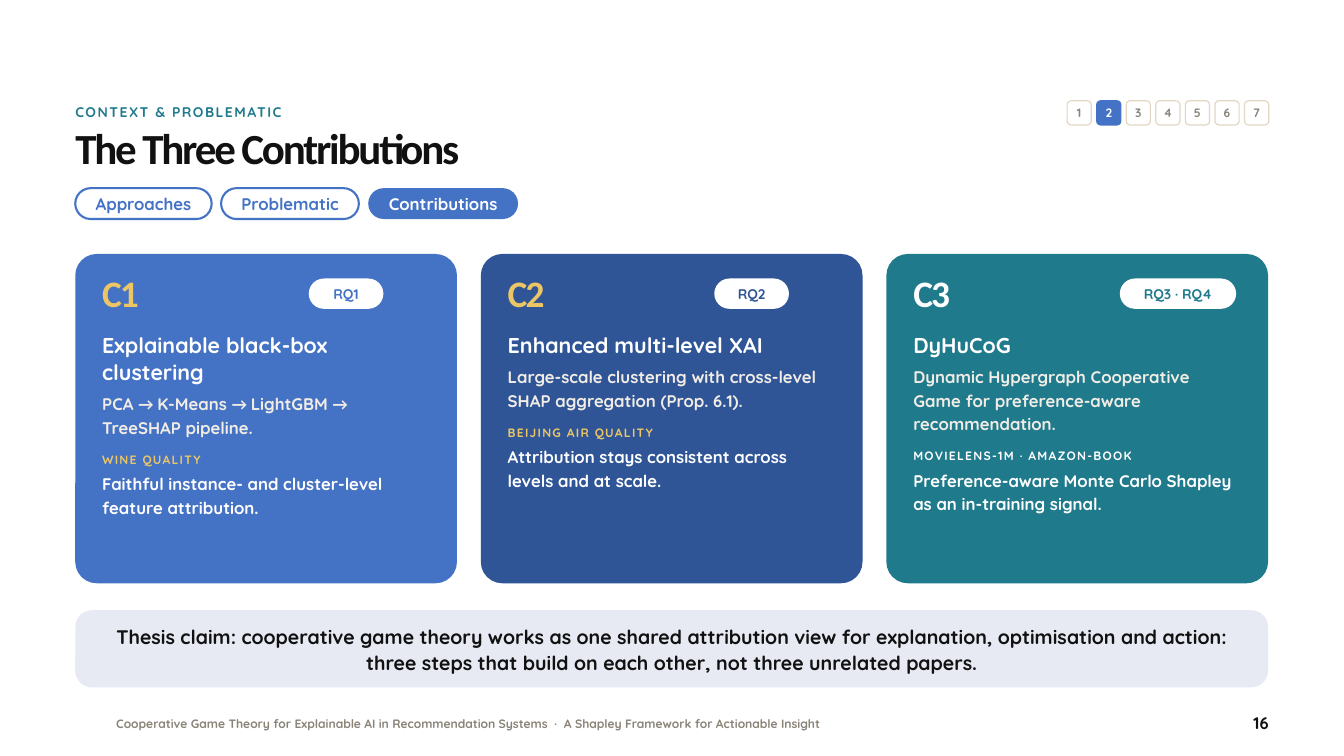
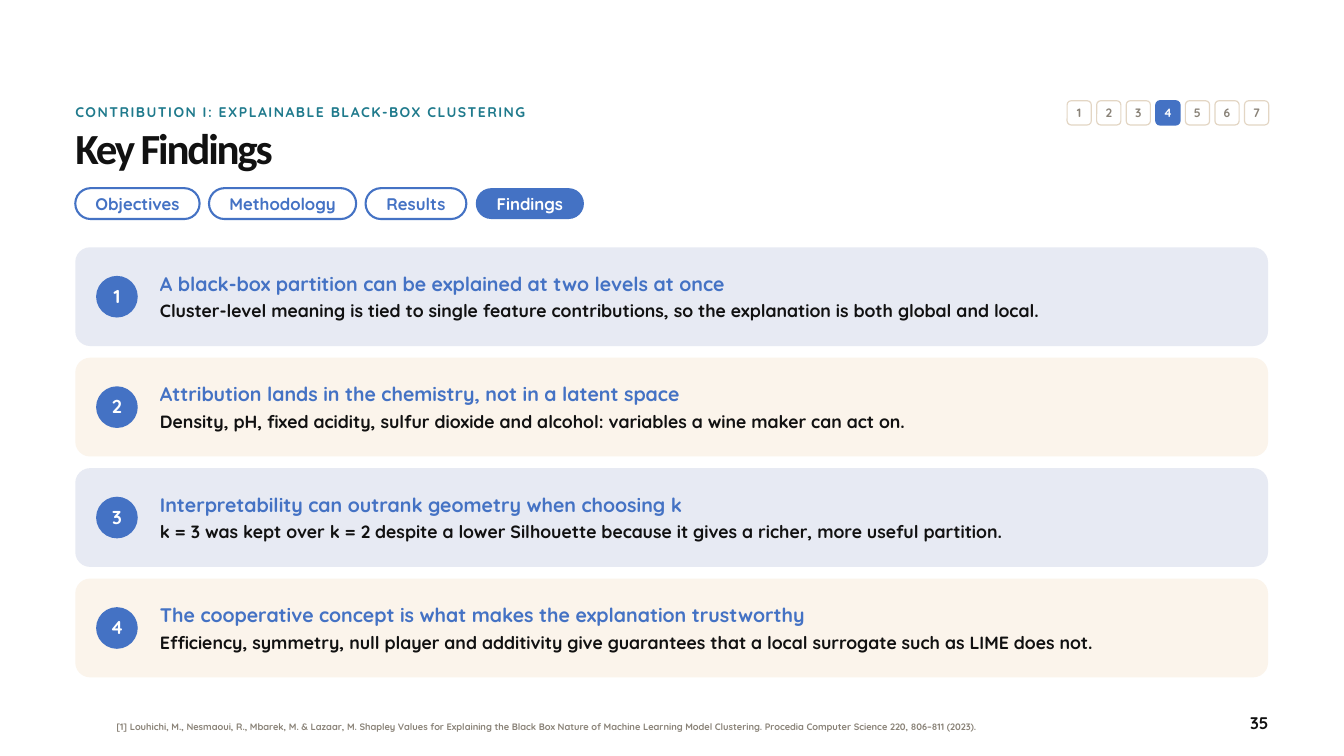
from dataclasses import dataclass

from pptx import Presentation
from pptx.dml.color import RGBColor
from pptx.enum import shapes, text
from pptx.util import Inches, Pt

COLORS = {
    "white": "FFFFFF", "ink": "111111", "grey": "8A8378", "sand": "E3D6C4",
    "blue": "4472C4", "navy": "2F5597", "teal": "1F7A8C", "gold": "ECC665",
    "pale": "F1EDE6", "mist": "E7EAF3", "cream": "FBF4EB",
}
BODY, HEAD = "Quicksand", "Calibri"
LEFT, WIDTH = 1.12, 17.75
ROUND, OVAL = shapes.MSO_SHAPE.ROUNDED_RECTANGLE, shapes.MSO_SHAPE.OVAL
TOP, MIDDLE = text.MSO_ANCHOR.TOP, text.MSO_ANCHOR.MIDDLE
ALIGN = text.PP_ALIGN


def rgb(name):
    return RGBColor.from_string(COLORS[name])


@dataclass
class Para:
    """A paragraph; content is a string or a list of (text, font) runs."""
    content: object
    size: float
    color: str
    leading: float
    before: float = 0
    font: str = BODY
    spacing: float = 0
    align: object = ALIGN.LEFT


class Deck:
    def __init__(self):
        self.prs = Presentation()
        self.prs.slide_width = Inches(20)
        self.prs.slide_height = Inches(11.25)
        self.s = None

    # Basic elements
    def set_text(self, sp, paras, anchor=TOP, insets=(0, 0)):
        tf = sp.text_frame
        tf.word_wrap = True
        tf.auto_size = text.MSO_AUTO_SIZE.NONE
        tf.vertical_anchor = anchor
        tf.margin_left = tf.margin_right = Inches(insets[0])
        tf.margin_top = tf.margin_bottom = Inches(insets[1])
        for i, para in enumerate(paras):
            p = tf.add_paragraph() if i else tf.paragraphs[0]
            p.alignment = para.align
            p.line_spacing = Pt(para.leading)
            p.space_before = Pt(para.before)
            font = p.font
            font.size, font.bold = Pt(para.size), True
            font.color.rgb = rgb(para.color)
            if para.spacing:
                font._rPr.set("spc", str(round(para.spacing * 100)))
            if isinstance(para.content, str):
                font.name = para.font
                p.add_run().text = para.content
            else:
                for words, name in para.content:
                    r = p.add_run()
                    r.text, r.font.name = words, name

    def label(self, x, y, w, h, paras, anchor=TOP):
        sp = self.s.shapes.add_textbox(*map(Inches, (x, y, w, h)))
        self.set_text(sp, paras, anchor)

    def shape(self, x, y, w, h, fill=None, line=None, weight=2.25,
              radius=0.5, kind=ROUND, paras=(), insets=(0, 0)):
        sp = self.s.shapes.add_shape(kind, *map(Inches, (x, y, w, h)))
        sp.shadow.inherit = False
        if kind == ROUND:
            sp.adjustments[0] = radius
        if fill:
            sp.fill.solid()
            sp.fill.fore_color.rgb = rgb(fill)
        else:
            sp.fill.background()
        if line:
            sp.line.color.rgb = rgb(line)
            sp.line.width = Pt(weight)
        else:
            sp.line.fill.background()
        if paras:
            self.set_text(sp, paras, MIDDLE, insets)

    def pill(self, x, y, w, h, words, size, color, fill, line):
        para = Para(words, size, color, size * 1.2, align=ALIGN.CENTER)
        self.shape(x, y, w, h, fill, line, paras=[para], insets=(0.05, 0))

    # Shared slide frame
    def slide(self, section, title, step, tabs, number):
        self.s = self.prs.slides.add_slide(self.prs.slide_layouts[5])
        self.s.background.fill.solid()
        self.s.background.fill.fore_color.rgb = rgb("white")
        self.title(title)
        self.label(LEFT, 1.52, 14.15, 0.36,
                   [Para(section, 15, "teal", 20, spacing=1.6)])
        self.steps(step)
        self.tabs(tabs)
        self.label(17.68, 10.6, 1.2, 0.36,
                   [Para(str(number), 18, "ink", 22, align=ALIGN.RIGHT)])

    def title(self, words):
        sp = self.s.shapes.title
        sp.left, sp.top = Inches(LEFT), Inches(1.88)
        sp.width, sp.height = Inches(WIDTH), Inches(0.8)
        self.set_text(sp, [Para(words, 46, "ink", 50.6, font=HEAD, spacing=-2.3)])

    def steps(self, current):
        for i in range(7):
            active = i + 1 == current
            digit = Para(str(i + 1), 13, "white" if active else "grey", 15,
                         align=ALIGN.CENTER)
            self.shape(15.88 + i * 0.44, 1.5, 0.36, 0.36,
                       "blue" if active else "white",
                       "blue" if active else "sand", 1.25, 0.167,
                       paras=[digit])

    def tabs(self, tabs):
        x = LEFT
        for i, (words, w) in enumerate(tabs):
            active = i == len(tabs) - 1
            colors = ("white", "blue", None) if active else ("blue", None, "blue")
            self.pill(x, 2.8, w, 0.46, words, 18, *colors)
            x += w + 0.14

    # Content blocks
    def card(self, x, w, fill, accent, code, tag, tag_w, name, method, data, result):
        self.shape(x, 3.78, w, 4.9, fill, radius=0.065)
        self.label(x + 0.4, 4.08, w - 0.8, 0.7,
                   [Para(code, 40, accent, 44, font=HEAD, spacing=-2)])
        self.pill(x + 3.49, 4.16, tag_w, 0.42, tag, 15, fill, "white", "white")
        self.label(x + 0.4, 4.93, w - 0.8, 3.6, [
            Para(name, 23, "white", 28.8),
            Para(method, 18, "pale", 25.2, 6),
            Para(data, 13, accent, 17, 14, spacing=1.4),
            Para(result, 18, "white", 25.2, 4),
        ])

    def finding(self, y, h, number, fill, heading, detail):
        self.shape(LEFT, y, WIDTH, h, fill, radius=0.15)
        digit = Para(str(number), 20, "white", 22, align=ALIGN.CENTER)
        self.shape(LEFT + 0.31, y + (h - 0.62) / 2, 0.62, 0.62, "blue",
                   kind=OVAL, paras=[digit])
        self.label(2.38, y + 0.12, 16.15, h - 0.24, [
            Para(heading, 21, "blue", 25),
            Para(detail, 19, "ink", 24, 4),
        ], MIDDLE)


def contributions(deck):
    deck.slide("CONTEXT & PROBLEMATIC", "The Three Contributions", 2,
               [("Approaches", 2.03), ("Problematic", 2.05),
                ("Contributions", 2.23)], 16)
    pipeline = [("PCA ", BODY), ("→ ", HEAD), ("K-Means ", BODY), ("→ ", HEAD),
                ("LightGBM ", BODY), ("→ ", HEAD), ("TreeSHAP pipeline.", BODY)]
    cards = [
        ("blue", "gold", "C1", "RQ1", 1.08, "Explainable black-box clustering",
         pipeline, "WINE QUALITY",
         "Faithful instance- and cluster-level feature attribution."),
        ("navy", "gold", "C2", "RQ2", 1.08, "Enhanced multi-level XAI",
         "Large-scale clustering with cross-level SHAP aggregation (Prop. 6.1).",
         "BEIJING AIR QUALITY",
         "Attribution stays consistent across levels and at scale."),
        ("teal", "white", "C3", "RQ3 · RQ4", 1.7, "DyHuCoG",
         "Dynamic Hypergraph Cooperative Game for preference-aware recommendation.",
         "MOVIELENS-1M · AMAZON-BOOK",
         "Preference-aware Monte Carlo Shapley as an in-training signal."),
    ]
    w = 5.68
    pitch = (WIDTH - w) / (len(cards) - 1)
    for i, card in enumerate(cards):
        deck.card(LEFT + i * pitch, w, *card)

    # Claim band and footer
    claim = ("Thesis claim: cooperative game theory works as one shared attribution "
             "view for explanation, optimisation and action: three steps that build "
             "on each other, not three unrelated papers.")
    deck.shape(LEFT, 9.08, WIDTH, 1.15, "mist", radius=0.217, insets=(0.5, 0.1),
               paras=[Para(claim, 21, "ink", 27, align=ALIGN.CENTER)])
    footer = ("Cooperative Game Theory for Explainable AI in Recommendation Systems"
              "  ·  A Shapley Framework for Actionable Insight")
    deck.label(1.73, 10.66, 14, 0.3, [Para(footer, 13, "grey", 16)])


def findings(deck):
    deck.slide("CONTRIBUTION I: EXPLAINABLE BLACK-BOX CLUSTERING", "Key Findings", 4,
               [("Objectives", 1.85), ("Methodology", 2.19), ("Results", 1.5),
                ("Findings", 1.61)], 35)
    rows = [
        ("A black-box partition can be explained at two levels at once",
         "Cluster-level meaning is tied to single feature contributions, "
         "so the explanation is both global and local."),
        ("Attribution lands in the chemistry, not in a latent space",
         "Density, pH, fixed acidity, sulfur dioxide and alcohol: "
         "variables a wine maker can act on."),
        ("Interpretability can outrank geometry when choosing k",
         "k = 3 was kept over k = 2 despite a lower Silhouette "
         "because it gives a richer, more useful partition."),
        ("The cooperative concept is what makes the explanation trustworthy",
         "Efficiency, symmetry, null player and additivity give guarantees "
         "that a local surrogate such as LIME does not."),
    ]
    top, bottom, h = 3.68, 10.08, 1.47
    pitch = (bottom - top - h) / (len(rows) - 1)
    for i, row in enumerate(rows):
        deck.finding(top + i * pitch, h, i + 1, ("mist", "cream")[i % 2], *row)

    # Reference
    reference = ("[1] Louhichi, M., Nesmaoui, R., Mbarek, M. & Lazaar, M. Shapley Values "
                 "for Explaining the Black Box Nature of Machine Learning Model "
                 "Clustering. Procedia Computer Science 220, 806–811 (2023).")
    deck.label(1.73, 10.5, 15.85, 0.62, [Para(reference, 10, "grey", 12)], MIDDLE)


def main():
    deck = Deck()
    contributions(deck)
    findings(deck)
    deck.prs.save("out.pptx")


if __name__ == "__main__":
    main()
